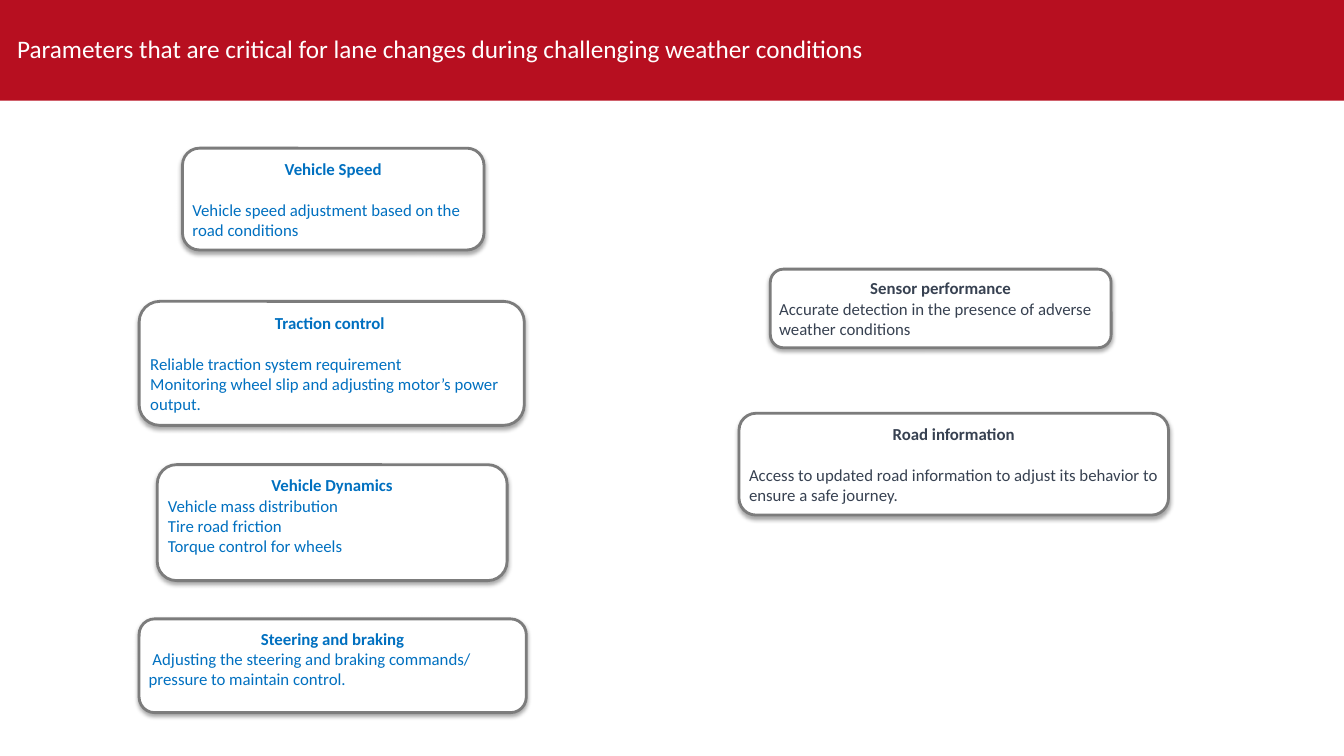
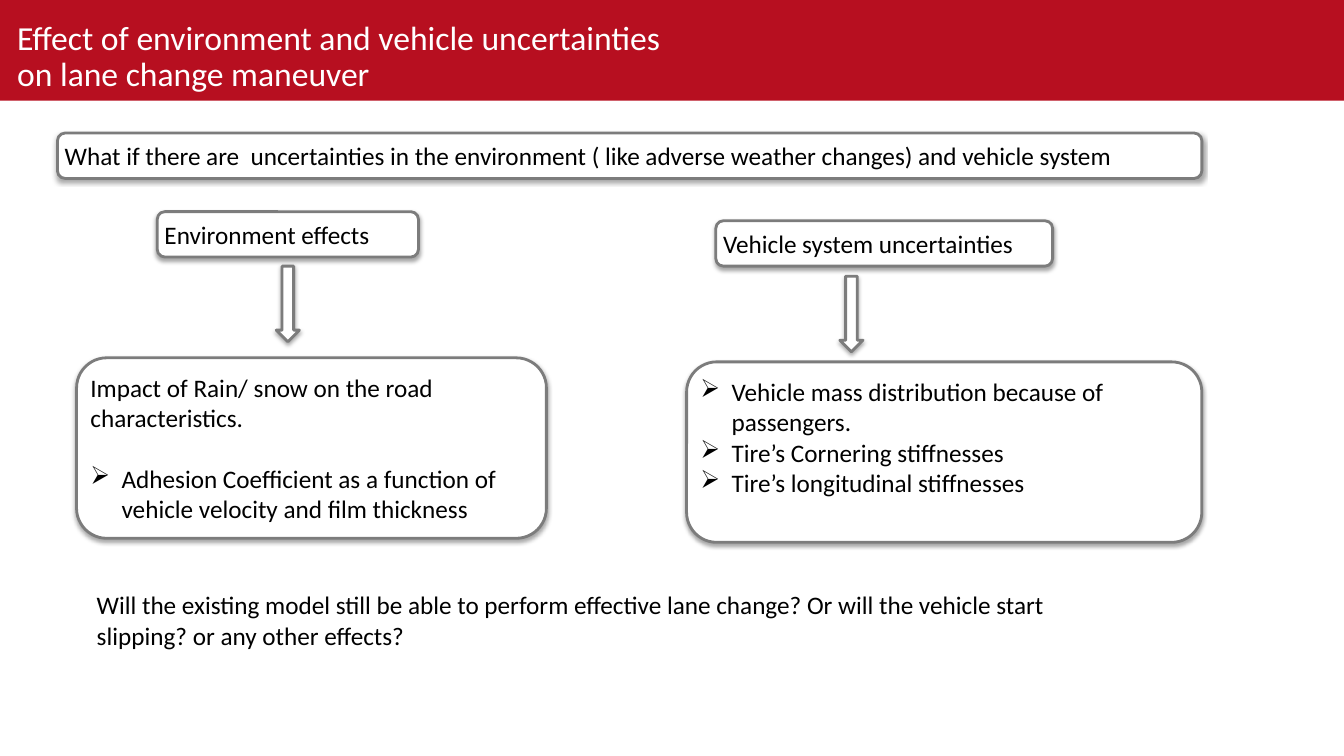
from pptx import Presentation
from pptx.dml.color import RGBColor
from pptx.enum.shapes import MSO_SHAPE as SHAPE
from pptx.enum.text import MSO_ANCHOR as ANCHOR, PP_ALIGN as ALIGN
from pptx.oxml import parse_xml
from pptx.oxml.ns import nsdecls
from pptx.util import Inches, Pt

FONT = "Calibri"
RED, WHITE, GREY = "B70F20", "FFFFFF", "7C7C7C"
BLUE, SLATE, BLACK = "0070C0", "374151", "000000"
INSET = 0.05
INDENT = 0.31
LINE_12, LINE_18 = 14.65, 22
SHADOW = (
    f'<a:outerShdw {nsdecls("a")} blurRad="38100" dist="22860" dir="5400000" rotWithShape="0">'
    '<a:srgbClr val="000000"><a:alpha val="35000"/></a:srgbClr></a:outerShdw>'
)


def write(sp, lines, size, color, tail=0, anchor=ANCHOR.MIDDLE, spacing=None):
    tf = sp.text_frame
    tf.word_wrap = True
    tf.vertical_anchor = anchor
    tf.margin_left = tf.margin_right = tf.margin_top = Inches(INSET)
    tf.margin_bottom = Inches(INSET + tail)
    for i, (kind, text, gap) in enumerate(lines):
        p = tf.add_paragraph() if i else tf.paragraphs[0]
        p.alignment = ALIGN.CENTER if kind == "head" else ALIGN.LEFT
        p.space_before = Pt(gap)
        if spacing:
            p.line_spacing = spacing
        if kind == "bullet":
            pPr = p._p.get_or_add_pPr()
            pPr.set("marL", str(Inches(INDENT)))
            pPr.set("indent", str(-Inches(INDENT)))
            pPr.append(parse_xml(f'<a:buChar {nsdecls("a")} char="➢"/>'))
        for j, part in enumerate(text.split("\n")):
            if j:
                p.add_line_break()
            r = p.add_run()
            r.text = part
            r.font.name = FONT
            r.font.size = Pt(size)
            r.font.bold = kind == "head"
            r.font.color.rgb = RGBColor.from_string(color)


def add_card(s, at, shape=SHAPE.ROUNDED_RECTANGLE):
    sp = s.shapes.add_shape(shape, *map(Inches, at))
    sp.fill.solid()
    sp.fill.fore_color.rgb = RGBColor.from_string(WHITE)
    sp.line.color.rgb = RGBColor.from_string(GREY)
    sp.line.width = Pt(2)
    sp.shadow.inherit = False
    sp._element.spPr.find("{*}effectLst").append(parse_xml(SHADOW))
    return sp


prs = Presentation()
prs.slide_width, prs.slide_height = Inches(13.33), Inches(7.5)

titles = [
    ("Parameters that are critical for lane changes during challenging weather conditions", 18, 0.8),
    ("Effect of environment and vehicle uncertainties\non lane change maneuver", 24, 0.94),
]
slides = []
for title, size, height in titles:
    s = prs.slides.add_slide(prs.slide_layouts[6])
    band = s.shapes.add_shape(SHAPE.RECTANGLE, 0, 0, prs.slide_width, Inches(1))
    band.fill.solid()
    band.fill.fore_color.rgb = RGBColor.from_string(RED)
    band.line.fill.background()
    band.shadow.inherit = False
    sp = s.shapes.add_textbox(Inches(0.12), Inches(0.1), Inches(9.5), Inches(height))
    write(sp, [("body", title, 0)], size, WHITE, spacing=0.9)
    slides.append(s)
parameters, effects = slides

parameter_cards = [
    ((1.81, 1.47, 2.99, 1.01), BLUE, "Vehicle Speed", LINE_12, 0,
     ["Vehicle speed adjustment based on the road conditions"]),
    ((1.38, 2.99, 3.82, 1.23), BLUE, "Traction control ", LINE_12, 0,
     ["Reliable traction system requirement",
      "Monitoring wheel slip and adjusting motor’s power output."]),
    ((1.56, 4.61, 3.47, 1.15), BLUE, "Vehicle Dynamics", 0, 0.14,
     ["Vehicle mass distribution", "Tire road friction", "Torque control for wheels"]),
    ((1.38, 6.14, 3.84, 0.93), BLUE, "Steering and braking", 0, 0.14,
     [" Adjusting the steering and braking commands/ pressure to maintain control."]),
    ((7.64, 2.67, 3.38, 0.78), SLATE, "Sensor performance", 0, 0,
     ["Accurate detection in the presence of adverse weather conditions"]),
    ((7.33, 4.1, 4.26, 1.01), SLATE, "Road information", LINE_12, 0,
     ["Access to updated road information to adjust its behavior to ensure a safe journey."]),
]
for at, color, heading, gap, tail, details in parameter_cards:
    lines = [("head", heading, 0)]
    lines += [("body", text, 0 if i else gap) for i, text in enumerate(details)]
    write(add_card(parameters, at), lines, 12, color, tail)

effect_cards = [
    ((0.57, 1.32, 11.35, 0.45), 0,
     [("body", "What if there are  uncertainties in the environment "
               "( like adverse weather changes) and vehicle system", 0)]),
    ((1.56, 2.1, 2.59, 0.45), 0, [("body", "Environment effects", 0)]),
    ((7.1, 2.19, 3.34, 0.45), 0, [("body", "Vehicle system uncertainties", 0)]),
    ((0.76, 3.55, 4.66, 1.79), 0,
     [("body", "Impact of Rain/ snow on the road characteristics.", 0),
      ("bullet", "Adhesion Coefficient as a function of vehicle velocity and film thickness", LINE_18)]),
    ((6.81, 3.59, 5.11, 1.79), 0.3,
     [("bullet", "Vehicle mass distribution because of passengers.", 0),
      ("bullet", "Tire’s Cornering stiffnesses", 0),
      ("bullet", "Tire’s longitudinal stiffnesses", 0)]),
]
for at, tail, lines in effect_cards:
    write(add_card(effects, at), lines, 18, BLACK, tail)

for left, top in [(2.74, 2.64), (8.33, 2.74)]:
    add_card(effects, (left, top, 0.23, 0.75), SHAPE.DOWN_ARROW)

question = effects.shapes.add_textbox(Inches(0.91), Inches(5.8), Inches(10.27), Inches(0.71))
write(question, [("body", "Will the existing model still be able to perform effective lane change? "
                          "Or will the vehicle start slipping? or any other effects?", 0)],
      18, BLACK, anchor=ANCHOR.TOP)

prs.save("out.pptx")
